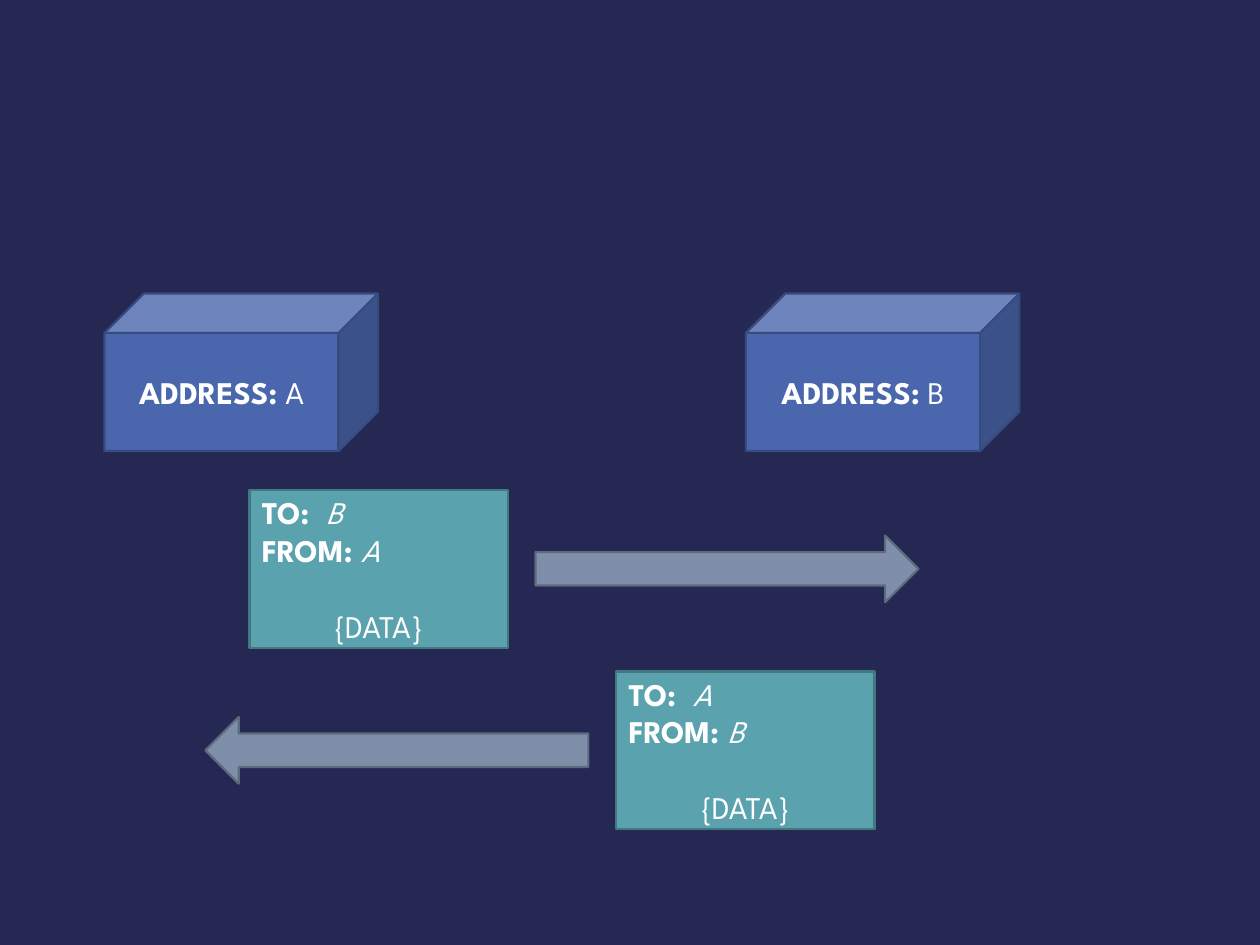
"""Build a slide showing two addressed hosts exchanging packets."""
import pptx
import pptx.dml.color
import pptx.enum.shapes
import pptx.enum.text
import pptx.util

Inches = pptx.util.Inches
Pt = pptx.util.Pt
RGBColor = pptx.dml.color.RGBColor
SHAPE = pptx.enum.shapes.MSO_SHAPE
ALIGN = pptx.enum.text.PP_ALIGN

NAVY = RGBColor(0x24, 0x28, 0x52)
WHITE = RGBColor(0xFF, 0xFF, 0xFF)
BLUE = RGBColor(0x4A, 0x66, 0xAC)
BLUE_EDGE = RGBColor(0x37, 0x4B, 0x7F)
TEAL = RGBColor(0x5A, 0xA2, 0xAE)
TEAL_EDGE = RGBColor(0x43, 0x78, 0x81)
GREY = RGBColor(0x7F, 0x8F, 0xA9)
GREY_EDGE = RGBColor(0x5E, 0x6A, 0x7D)


class Diagram:
    font_name = "League Spartan"
    font_size = Pt(18)
    line_width = Pt(1.25)
    blank_line = Pt(21.7)

    def __init__(self, slide):
        self.slide = slide
        slide.background.fill.solid()
        slide.background.fill.fore_color.rgb = NAVY

    def block(self, kind, left, top, width, height, fill, edge):
        block = self.slide.shapes.add_shape(
            kind, Inches(left), Inches(top), Inches(width), Inches(height))
        block.shadow.inherit = False
        block.fill.solid()
        block.fill.fore_color.rgb = fill
        block.line.color.rgb = edge
        block.line.width = self.line_width
        return block

    def label_line(self, paragraph, align, label, value, italic=False):
        paragraph.alignment = align
        paragraph.font.name = self.font_name
        paragraph.font.size = self.font_size
        paragraph.font.color.rgb = WHITE
        if label:
            heading = paragraph.add_run()
            heading.text = label
            heading.font.bold = True
        content = paragraph.add_run()
        content.text = value
        content.font.bold = False
        content.font.italic = italic

    def host(self, left, address):
        frame = self.block(SHAPE.CUBE, left, 2.33, 2.17, 1.25, BLUE, BLUE_EDGE).text_frame
        frame.vertical_anchor = pptx.enum.text.MSO_ANCHOR.MIDDLE
        self.label_line(frame.paragraphs[0], ALIGN.CENTER, "ADDRESS:", f" {address}")

    def packet(self, left, top, receiver, sender):
        frame = self.block(SHAPE.RECTANGLE, left, top, 2.05, 1.25, TEAL, TEAL_EDGE).text_frame
        frame.vertical_anchor = pptx.enum.text.MSO_ANCHOR.MIDDLE
        self.label_line(frame.paragraphs[0], ALIGN.LEFT, "TO:  ", receiver, italic=True)
        self.label_line(frame.add_paragraph(), ALIGN.LEFT, "FROM: ", sender, italic=True)
        payload = frame.add_paragraph()
        payload.space_before = self.blank_line
        self.label_line(payload, ALIGN.CENTER, "", "{DATA}")

    def arrow(self, kind, left, top):
        self.block(kind, left, top, 3.04, 0.53, GREY, GREY_EDGE)


def main():
    presentation = pptx.Presentation()
    presentation.slide_width = Inches(10)
    presentation.slide_height = Inches(7.5)
    diagram = Diagram(presentation.slides.add_slide(presentation.slide_layouts[6]))

    for left, address in ((0.83, "A"), (5.92, "B")):
        diagram.host(left, address)

    exchanges = (
        (3.89, 1.98, "B", "A", SHAPE.RIGHT_ARROW, 4.25),
        (5.33, 4.89, "A", "B", SHAPE.LEFT_ARROW, 1.63),
    )
    for top, packet_left, receiver, sender, direction, arrow_left in exchanges:
        diagram.packet(packet_left, top, receiver, sender)
        diagram.arrow(direction, arrow_left, top + 0.36)

    presentation.save("out.pptx")


if __name__ == "__main__":
    main()
